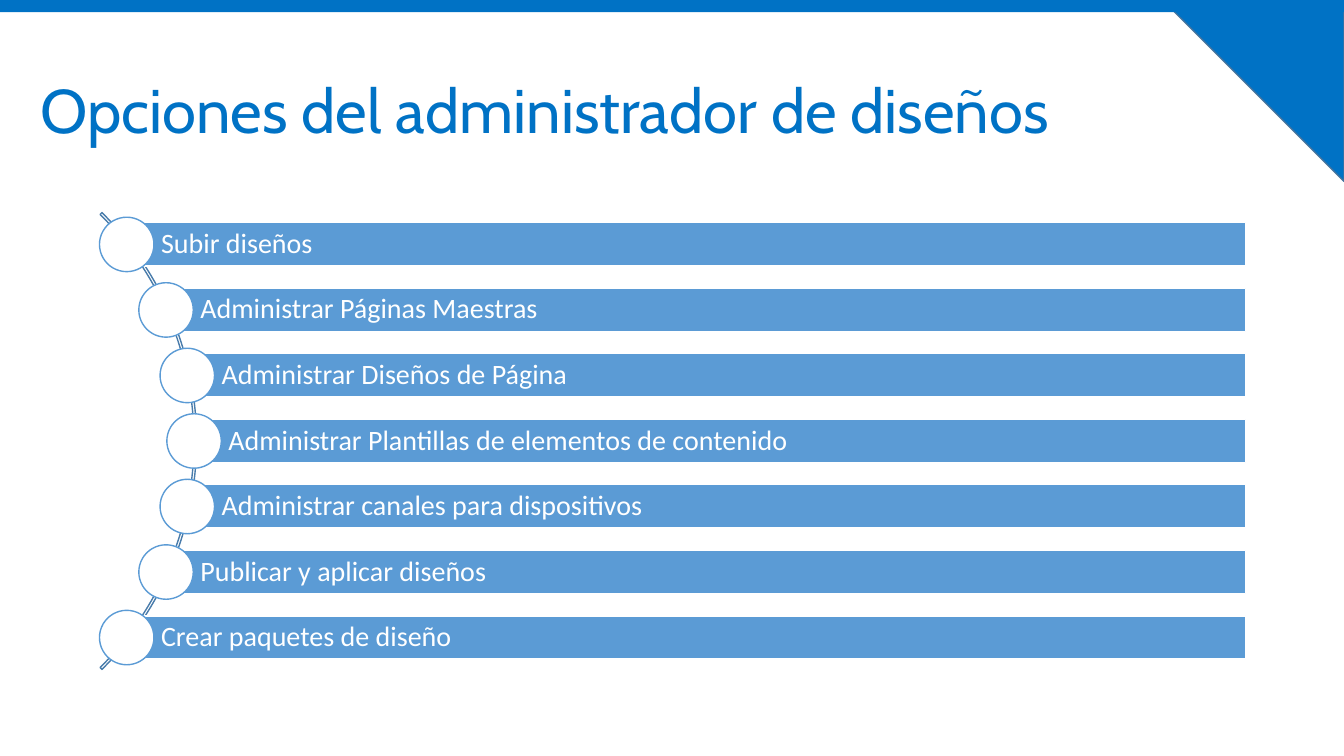
from dataclasses import dataclass
from math import sqrt

from pptx import Presentation
from pptx.dml.color import RGBColor
from pptx.enum.shapes import MSO_SHAPE
from pptx.enum.text import MSO_ANCHOR
from pptx.shapes.autoshape import Shape
from pptx.util import Inches, Pt

RECTANGLE = MSO_SHAPE.RECTANGLE
OVAL = MSO_SHAPE.OVAL
BLOCK_ARC = MSO_SHAPE.BLOCK_ARC
RIGHT_TRIANGLE = MSO_SHAPE.RIGHT_TRIANGLE
MIDDLE = MSO_ANCHOR.MIDDLE


@dataclass(frozen=True)
class Theme:
    brand: RGBColor = RGBColor(0x00, 0x72, 0xC5)
    corner_line: RGBColor = RGBColor(0x43, 0x73, 0x9E)
    arc_line: RGBColor = RGBColor(0x49, 0x7C, 0xAB)
    bar: RGBColor = RGBColor(0x5B, 0x9B, 0xD5)
    white: RGBColor = RGBColor(0xFF, 0xFF, 0xFF)
    title_font: str = "Cabin"
    body_font: str = "Calibri"
    title_size: int = 44
    body_size: int = 20


@dataclass(frozen=True)
class Box:
    left: float
    top: float
    width: float
    height: float


@dataclass(frozen=True)
class Option:
    label: str
    center_x: float
    center_y: float


THEME = Theme()
SLIDE_WIDTH, SLIDE_HEIGHT = 13.33, 7.5
LABELS = (
    "Subir diseños",
    "Administrar Páginas Maestras",
    "Administrar Diseños de Página",
    "Administrar Plantillas de elementos de contenido",
    "Administrar canales para dispositivos",
    "Publicar y aplicar diseños",
    "Crear paquetes de diseño",
)
ARC_CENTER_X, ARC_CENTER_Y, ARC_SIZE = -1.255, 4.375, 6.41
OPTION_RADIUS, OPTION_PITCH = 3.18, 0.65
BAR_RIGHT, BAR_HEIGHT, CIRCLE_SIZE = 12.355, 0.43, 0.54


def add_shape(shapes, kind: MSO_SHAPE, box: Box, fill: RGBColor | None,
              line: RGBColor | None) -> Shape:
    shape = shapes.add_shape(kind, Inches(box.left), Inches(box.top),
                             Inches(box.width), Inches(box.height))
    shape.shadow.inherit = False
    if fill is None:
        shape.fill.background()
    else:
        shape.fill.solid()
        shape.fill.fore_color.rgb = fill
    if line is None:
        shape.line.fill.background()
    else:
        shape.line.color.rgb = line
        shape.line.width = Pt(1)
    return shape


def write_text(shape: Shape, text: str, font_name: str, size: int, color: RGBColor) -> None:
    frame = shape.text_frame
    frame.word_wrap = True
    frame.vertical_anchor = MIDDLE
    paragraph = frame.paragraphs[0]
    paragraph.alignment = 1
    paragraph.line_spacing = 0.9
    run = paragraph.add_run()
    run.text = text
    run.font.name = font_name
    run.font.size = Pt(size)
    run.font.color.rgb = color


def place_options() -> list[Option]:
    """Space the options evenly in height, with their centres on a circle."""
    options = []
    for index, label in enumerate(LABELS):
        offset = (index - (len(LABELS) - 1) / 2) * OPTION_PITCH
        center_x = ARC_CENTER_X + sqrt(OPTION_RADIUS ** 2 - offset ** 2)
        options.append(Option(label, center_x, ARC_CENTER_Y + offset))
    return options


def add_option(shapes, option: Option) -> None:
    bar_box = Box(option.center_x, option.center_y - BAR_HEIGHT / 2,
                  BAR_RIGHT - option.center_x, BAR_HEIGHT)
    bar = add_shape(shapes, RECTANGLE, bar_box, THEME.bar, THEME.white)
    frame = bar.text_frame
    frame.margin_left = Inches(0.34)
    frame.margin_top = frame.margin_right = frame.margin_bottom = Inches(0.06)
    write_text(bar, option.label, THEME.body_font, THEME.body_size, THEME.white)
    circle_box = Box(option.center_x - CIRCLE_SIZE / 2, option.center_y - CIRCLE_SIZE / 2,
                     CIRCLE_SIZE, CIRCLE_SIZE)
    add_shape(shapes, OVAL, circle_box, THEME.white, THEME.bar)


def add_arc(shapes) -> None:
    box = Box(ARC_CENTER_X - ARC_SIZE / 2, ARC_CENTER_Y - ARC_SIZE / 2, ARC_SIZE, ARC_SIZE)
    arc = add_shape(shapes, BLOCK_ARC, box, None, THEME.arc_line)
    for index, value in enumerate((189, 27, 0.004)):
        arc.adjustments[index] = value


def main() -> None:
    presentation = Presentation()
    presentation.slide_width = Inches(SLIDE_WIDTH)
    presentation.slide_height = Inches(SLIDE_HEIGHT)
    slide = presentation.slides.add_slide(presentation.slide_layouts[6])

    corner = add_shape(slide.shapes, RIGHT_TRIANGLE, Box(11.53, 0, 1.8, 1.8),
                       THEME.brand, THEME.corner_line)
    corner.rotation = 180
    add_shape(slide.shapes, RECTANGLE, Box(0, 0, SLIDE_WIDTH, 0.12), THEME.brand, None)
    title = slide.shapes.add_textbox(Inches(0.3), Inches(0.4), Inches(12.12), Inches(1.45))
    write_text(title, "Opciones del administrador de diseños",
               THEME.title_font, THEME.title_size, THEME.brand)

    diagram = slide.shapes.add_group_shape().shapes
    add_arc(diagram)
    for option in place_options():
        add_option(diagram, option)
    presentation.save("out.pptx")


if __name__ == "__main__":
    main()
